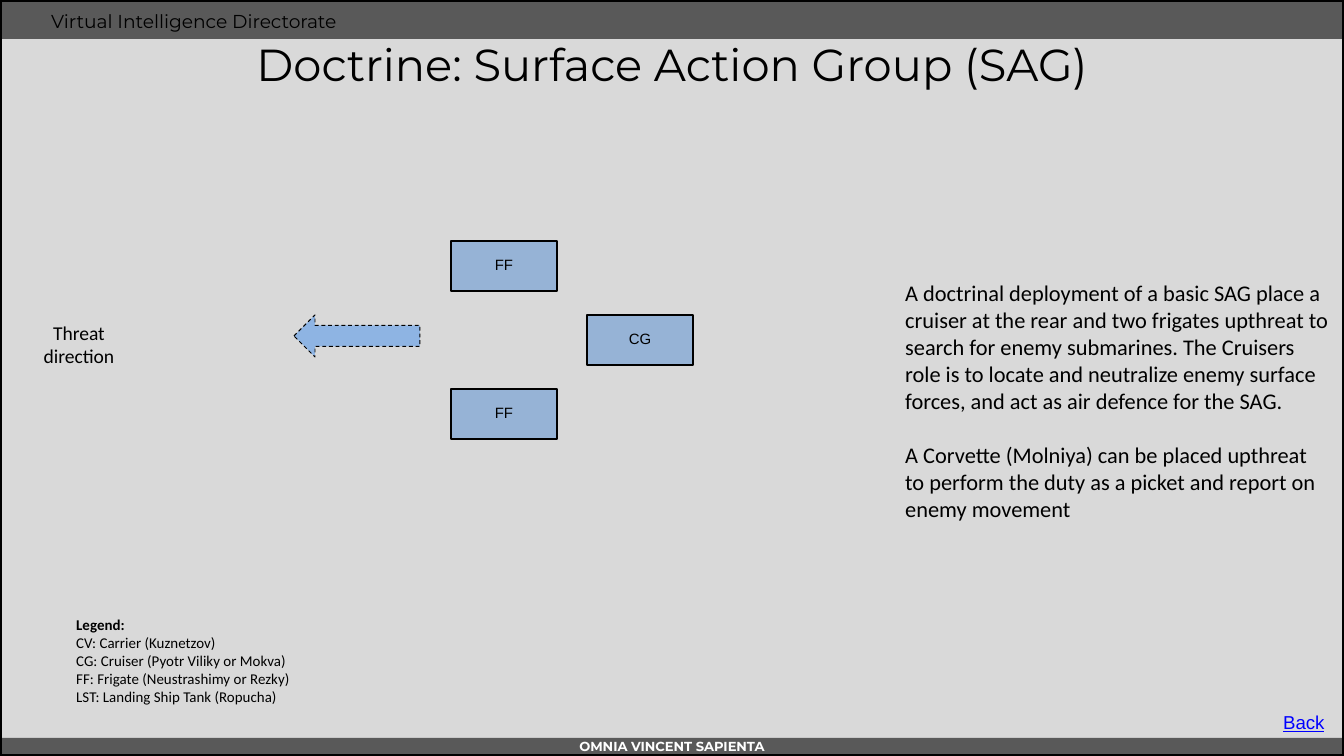
"""Build the Surface Action Group doctrine slide."""
from lxml import etree
from pptx import Presentation
from pptx import util as u
from pptx.dml.color import RGBColor
from pptx.enum import dml, shapes, text

PX = 914400 / 134.4
WIDTH, HEIGHT = 1344, 756
BLACK = RGBColor(0x00, 0x00, 0x00)
WHITE = RGBColor(0xFF, 0xFF, 0xFF)
LINK_BLUE = RGBColor(0x00, 0x00, 0xFF)
BACKDROP = RGBColor(0xD9, 0xD9, 0xD9)
BAND = RGBColor(0x59, 0x59, 0x59)
SHIP = RGBColor(0x55, 0x8E, 0xD5)
ARROW = RGBColor(0x8E, 0xB4, 0xE3)
LEFT, CENTER = text.PP_ALIGN.LEFT, text.PP_ALIGN.CENTER
RECT = shapes.MSO_SHAPE.RECTANGLE

TITLE = "Doctrine: Surface Action Group (SAG)"
BODY = [
    "A doctrinal deployment of a basic SAG place a cruiser at the rear and two "
    "frigates upthreat to search for enemy submarines. The Cruisers role is to "
    "locate and neutralize enemy surface forces, and act as air defence for the SAG.",
    "A Corvette (Molniya) can be placed upthreat to perform the duty as a picket "
    "and report on enemy movement",
]
LEGEND = [
    "Legend:",
    "CV: Carrier (Kuznetzov)",
    "CG: Cruiser (Pyotr Viliky or Mokva)",
    "FF: Frigate (Neustrashimy or Rezky)",
    "LST: Landing Ship Tank (Ropucha)",
]
BANDS = [(0, 0, WIDTH, 39), (0, 738, WIDTH, 18)]
SHIP_SIZE = (106, 50)
SHIP_ORIGIN, SHIP_STEP = (451, 241), (136, 74)
SHIPS = [("CG", 1, 1), ("FF", 0, 2), ("FF", 0, 0)]
LABELS = [
    (["Virtual Intelligence Directorate"], (38, 3, 922, 36), LEFT,
     {"name": "Montserrat", "size": u.Pt(10)}, {}),
    (["OMNIA VINCENT SAPIENTA"], (0, 739, WIDTH, 16), CENTER,
     {"name": "Montserrat", "size": u.Pt(7), "bold": True, "color": WHITE},
     {"margin_left": 0, "margin_right": 0, "margin_top": 0, "margin_bottom": 0}),
    (["Back"], (1270, 704, 69, 36), LEFT,
     {"name": "Arial", "size": u.Pt(10), "underline": True, "color": LINK_BLUE},
     {"word_wrap": False}),
    (["Threat direction"], (21, 314, 116, 63), CENTER,
     {"name": "Calibri", "size": u.Pt(10.5)}, {}),
    (BODY, (892, 273, 452, 312), LEFT, {"name": "Calibri", "size": u.Pt(12)}, {}),
    (LEGEND, (63, 609, 314, 103), LEFT, {"name": "Calibri", "size": u.Pt(8)}, {}),
]


def px(*lengths):
    return [round(length * PX) for length in lengths]


def apply(target, values):
    for name, value in values.items():
        setattr(target, name, value)


def write(shape, lines, align, font, frame_format):
    frame = shape.text_frame
    apply(frame, {"word_wrap": True, **frame_format})
    frame.text = "\n".join(lines)
    for para in frame.paragraphs:
        para.alignment = align
        for span in para.runs:
            apply(span.font, {k: v for k, v in font.items() if k != "color"})
            span.font.color.rgb = font.get("color", BLACK)
    return frame


def add_shape(page, kind, place, fill=None, line=None):
    shape = page.shapes.add_shape(kind, *px(*place))
    shape.shadow.inherit = False
    if fill is None:
        shape.fill.background()
    else:
        shape.fill.solid()
        shape.fill.fore_color.rgb = fill
    if line is None:
        shape.line.fill.background()
    else:
        shape.line.color.rgb = BLACK
        shape.line.width = u.Pt(line)
    return shape


def add_ship(page, name, column, row):
    left, top = (start + step * index for start, step, index
                 in zip(SHIP_ORIGIN, SHIP_STEP, (column, row)))
    ship = add_shape(page, RECT, (left, top, *SHIP_SIZE), SHIP, 1)
    color = ship.fill._xPr.find(".//{*}srgbClr")
    etree.SubElement(color, color.tag.replace("srgbClr", "alpha"), val="50000")
    margins = dict.fromkeys(
        ["margin_left", "margin_right", "margin_top", "margin_bottom"], u.Inches(0.01))
    frame = write(ship, [name], CENTER, {"name": "Arial", "size": u.Pt(8)},
                  {"vertical_anchor": text.MSO_ANCHOR.MIDDLE, **margins})
    frame.paragraphs[0].line_spacing = 0.9


def main():
    deck = Presentation()
    deck.slide_width, deck.slide_height = px(WIDTH, HEIGHT)
    page = deck.slides.add_slide(deck.slide_layouts[5])
    page.background.fill.solid()
    page.background.fill.fore_color.rgb = BACKDROP

    title = page.shapes.title
    apply(title, dict(zip(("left", "top", "width", "height"), px(0, 43, WIDTH, 42))))
    write(title, [TITLE], CENTER, {"name": "Montserrat", "size": u.Pt(24)},
          {"vertical_anchor": text.MSO_ANCHOR.MIDDLE,
           "auto_size": text.MSO_AUTO_SIZE.NONE})

    for place in BANDS:
        add_shape(page, RECT, place, BAND)
    add_shape(page, RECT, (0, 0, WIDTH, HEIGHT), line=2)
    for ship in SHIPS:
        add_ship(page, *ship)
    arrow = add_shape(page, shapes.MSO_SHAPE.LEFT_ARROW, (294, 315, 126, 42), ARROW, 0.5)
    arrow.line.dash_style = dml.MSO_LINE.DASH

    for lines, place, align, font, frame_format in LABELS:
        box = page.shapes.add_textbox(*px(*place))
        frame = write(box, lines, align, font, frame_format)
        if lines is BODY:
            frame.paragraphs[1].space_before = u.Pt(14.5)
        if lines is LEGEND:
            frame.paragraphs[0].runs[0].font.bold = True

    deck.save("out.pptx")


if __name__ == "__main__":
    main()
